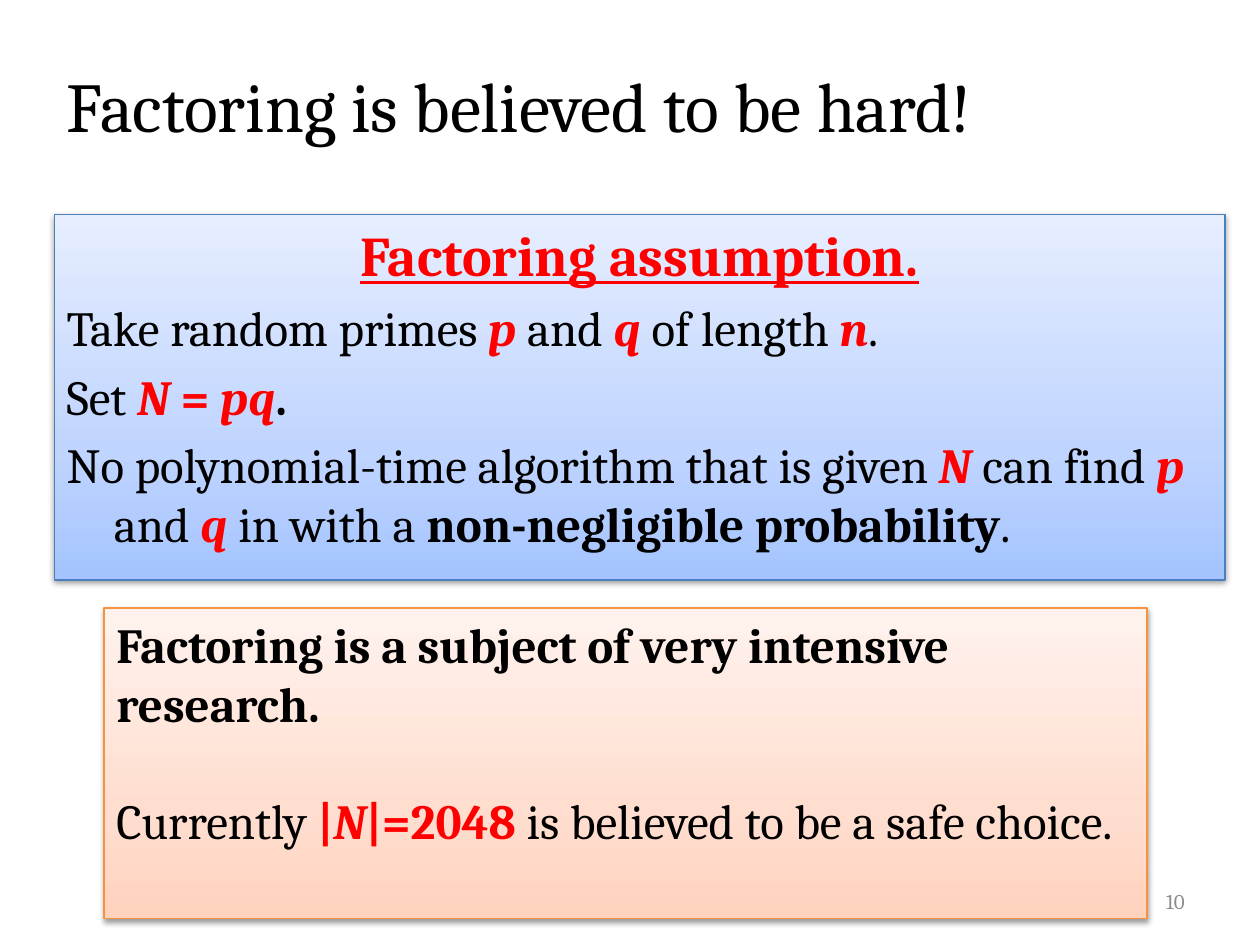
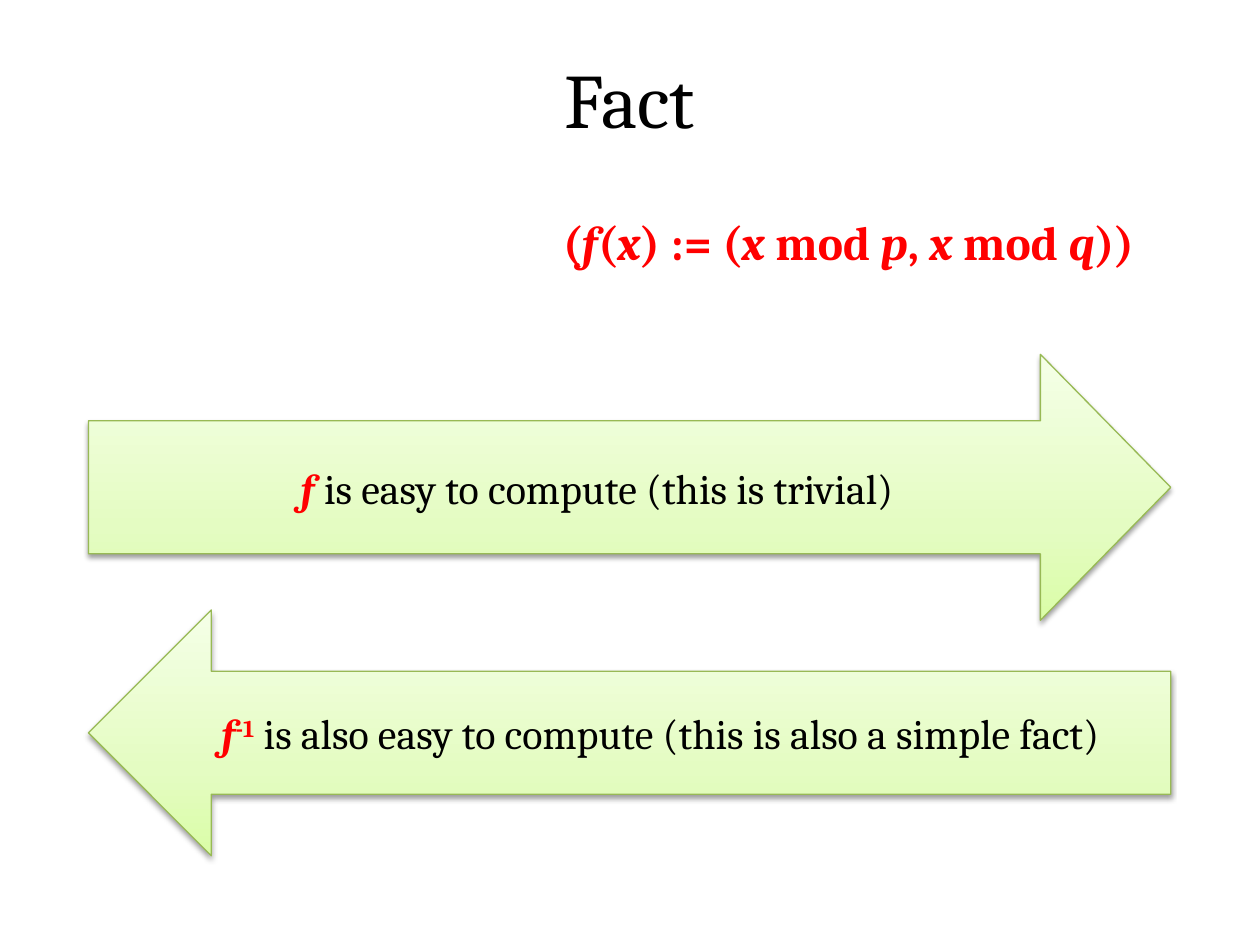
from lxml.etree import SubElement
from pptx import Presentation
from pptx.dml.color import RGBColor
from pptx.enum.shapes import MSO_SHAPE
from pptx.enum.text import MSO_ANCHOR, PP_ALIGN
from pptx.oxml import parse_xml
from pptx.oxml.ns import nsdecls, qn
from pptx.util import Pt

BLACK = RGBColor(0, 0, 0)
RED = RGBColor(0xFF, 0, 0)
GRAY = RGBColor(0x8C, 0x8C, 0x8C)

# Line colour, then the fill from bottom to top
BLUE = [RGBColor.from_string(c) for c in ("4B7EBC", "A4C4FF", "BFD4FF", "E6EEFF")]
ORANGE = [RGBColor.from_string(c) for c in ("F69240", "FFD2BD", "FFDED0", "FFF2ED")]
GREEN = [RGBColor.from_string(c) for c in ("98B955", "DAFDA7", "E4FCC2", "F5FFE7")]
STOPS = (0, 35, 100)

LEFT, CENTER, RIGHT = PP_ALIGN.LEFT, PP_ALIGN.CENTER, PP_ALIGN.RIGHT
TOP, MIDDLE = MSO_ANCHOR.TOP, MSO_ANCHOR.MIDDLE


class Deck:
    font = "Cambria"
    hang = Pt(27)

    def __init__(self):
        self.prs = Presentation()
        self.prs.slide_width, self.prs.slide_height = Pt(720), Pt(540)
        self.slide = None

    def page(self, text, box, size, align=LEFT):
        """Start a slide with its title."""
        self.slide = self.prs.slides.add_slide(self.prs.slide_layouts[5])
        title = self.slide.shapes.title
        title.left, title.top, title.width, title.height = map(Pt, box)
        self.put_text(title, [[(text, "")]], size, align, MIDDLE)

    def label(self, box, paras, size, **style):
        shape = self.slide.shapes.add_textbox(*map(Pt, box))
        self.put_text(shape, paras, size, **style)

    def panel(self, kind, box, tint, paras, size, adjust=(), **style):
        """Add a preset shape with a gradient, a soft shadow and text."""
        shape = self.slide.shapes.add_shape(kind, *map(Pt, box))
        for i, value in enumerate(adjust):
            shape.adjustments[i] = value
        edge, *shades = tint
        stops = "".join(
            f'<a:gs pos="{pos * 1000}"><a:srgbClr val="{shade}"/></a:gs>'
            for pos, shade in zip(STOPS, shades))
        props = shape._element.spPr
        props.append(parse_xml(
            f'<a:gradFill {nsdecls("a")} rotWithShape="1"><a:gsLst>{stops}</a:gsLst>'
            '<a:lin ang="16200000" scaled="0"/></a:gradFill>'))
        shape.line.color.rgb = edge
        shape.line.width = Pt(0.75)
        shape.shadow.inherit = False
        shade = SubElement(
            props.find(qn("a:effectLst")), qn("a:outerShdw"), blurRad=str(Pt(3.1)),
            dist=str(Pt(1.6)), dir="5400000", rotWithShape="0")
        tone = SubElement(shade, qn("a:srgbClr"), val=str(BLACK))
        SubElement(tone, qn("a:alpha"), val="38000")
        self.put_text(shape, paras, size, **style)

    def put_text(self, shape, paras, size, align=LEFT, anchor=TOP,
                 hang=False, gap=0, color=BLACK):
        """Fill a shape; each run is (text, marks), and marks may hold
        r red, b bold, i italic, u underlined, ^ raised, H heading."""
        frame = shape.text_frame
        frame.word_wrap = True
        frame.vertical_anchor = anchor
        for i, runs in enumerate(paras):
            para = frame.add_paragraph() if i else frame.paragraphs[0]
            head = any("H" in marks for _, marks in runs)
            para.alignment = CENTER if head else align
            para.space_before = Pt(gap if i else 0)
            if hang:
                props = para._p.get_or_add_pPr()
                props.set("marL", str(self.hang))
                props.set("indent", str(-self.hang))
            for text, marks in runs:
                run = para.add_run()
                run.text = text
                font = run.font
                font.name = self.font
                font.size = Pt(32 if head else size)
                font.color.rgb = RED if "r" in marks else color
                font.bold = "b" in marks
                font.italic = "i" in marks
                font.underline = "u" in marks
                if "^" in marks:
                    run._r.get_or_add_rPr().set("baseline", "30000")


def hard(deck):
    deck.page("Factoring is believed to be hard!", (31, 15, 635, 90), 40)
    deck.label((516, 500.5, 168, 28.75), [[("10", "")]], 12,
               align=RIGHT, anchor=MIDDLE, color=GRAY)
    deck.panel(MSO_SHAPE.RECTANGLE, (31, 122.5, 669, 209), BLUE, [
        [("Factoring assumption.", "rbuH")],
        [("Take random primes ", ""), ("p", "rbi"), (" and ", ""), ("q", "rbi"),
         (" of length ", ""), ("n", "rbi"), (".", "")],
        [("Set ", ""), ("N ", "rbi"), ("= ", "rb"), ("pq", "rbi"), (".", "b")],
        [("No polynomial-time algorithm that is given ", ""), ("N ", "rbi"),
         ("can find ", ""), ("p ", "rbi"), ("and ", ""), ("q", "rbi"),
         (" in with a ", ""), ("non-negligible probability", "b"), (".", "")],
    ], 28, hang=True, gap=5.6)
    deck.panel(MSO_SHAPE.RECTANGLE, (59.5, 347.5, 596, 177.5), ORANGE, [
        [("Factoring is a subject of very intensive research.", "b")],
        [("Currently ", ""), ("|", "rb"), ("N", "rbi"), ("|=2048 ", "rb"),
         ("is believed to be a safe choice.", "")],
    ], 28, gap=33.5)


def fact(deck):
    deck.page("Fact", (36, 21.5, 648, 68.5), 44, CENTER)
    deck.label((314.5, 118, 369.5, 54), [
        [("(", "rb"), ("f", "rbi"), ("(", "rb"), ("x", "rbi"), (") := (", "rb"),
         ("x", "rbi"), (" mod ", "rb"), ("p", "rbi"), (", ", "rb"), ("x ", "rbi"),
         ("mod ", "rb"), ("q", "rbi"), ("))", "rb")],
    ], 27.2, hang=True)
    deck.panel(MSO_SHAPE.RIGHT_ARROW, (50.5, 202.5, 618.5, 152), GREEN, [
        [("f", "rbi"), (" is easy to compute (this is trivial)", "")],
    ], 24, adjust=(0.5, 0.49), align=CENTER, anchor=MIDDLE)
    deck.panel(MSO_SHAPE.LEFT_ARROW, (50.5, 348.5, 618.5, 140.5), GREEN, [
        [("f", "rbi"), ("-1", "rb^"),
         (" is also easy to compute (this is also a simple fact)", "")],
    ], 24, align=CENTER, anchor=MIDDLE)


def main():
    deck = Deck()
    hard(deck)
    fact(deck)
    deck.prs.save("out.pptx")


if __name__ == "__main__":
    main()
